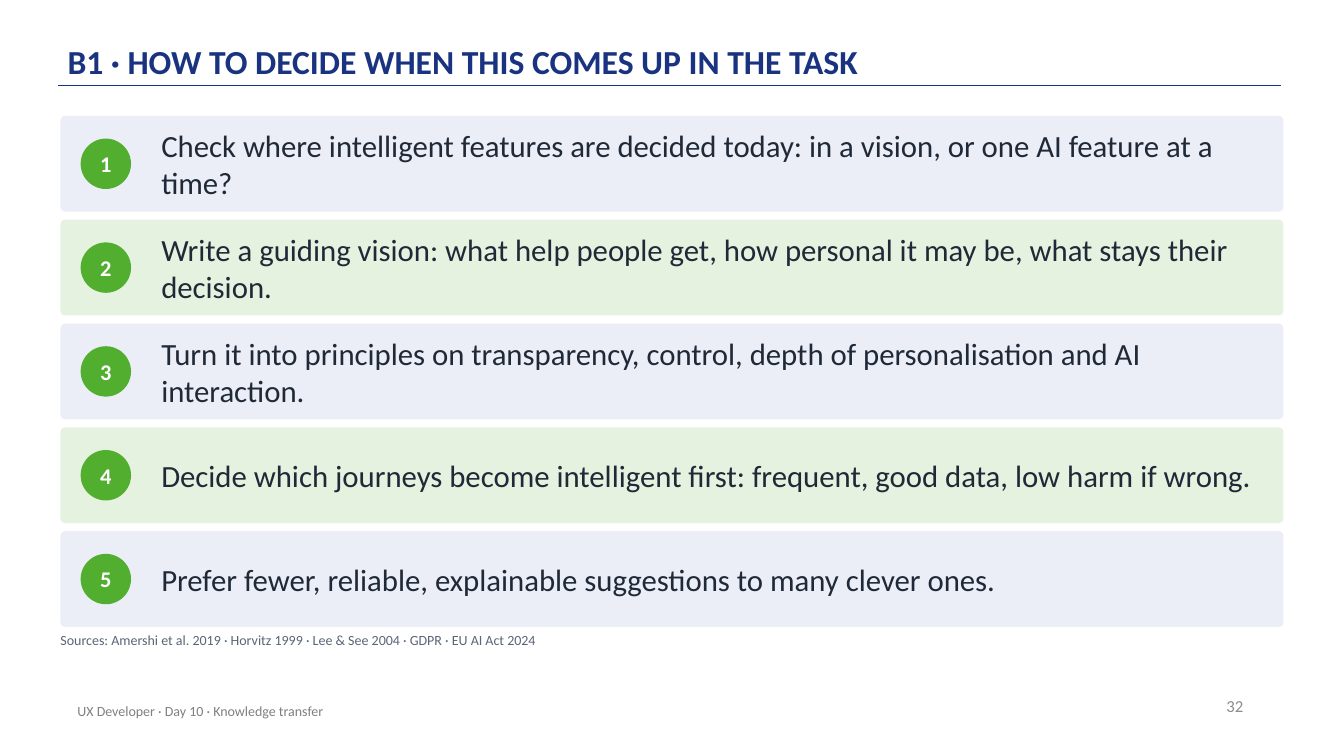
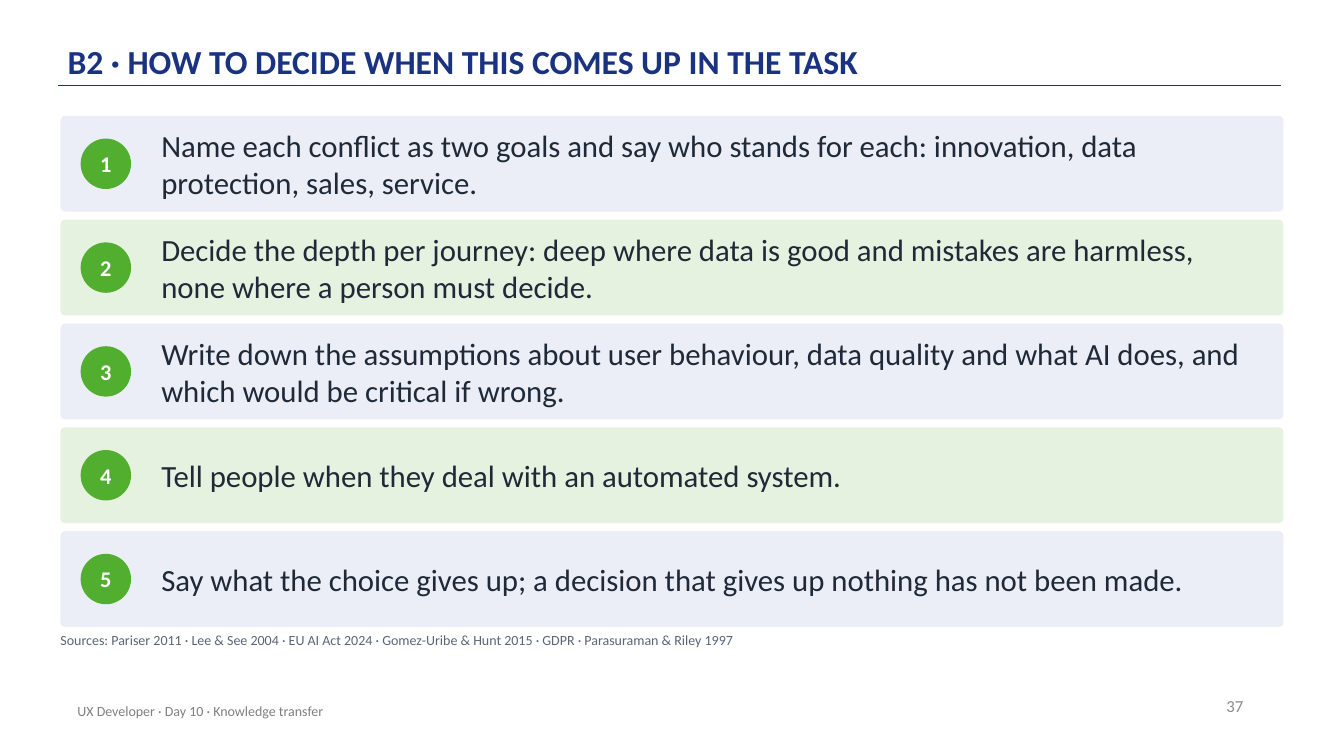
from lxml import etree
from pptx import Presentation
from pptx.dml.color import RGBColor
from pptx.enum.shapes import MSO_CONNECTOR, MSO_SHAPE
from pptx.enum.text import MSO_ANCHOR, PP_ALIGN
from pptx.oxml.ns import qn
from pptx.util import Inches, Pt

NAVY = RGBColor(0x1A, 0x33, 0x81)
GREEN = RGBColor(0x51, 0xAE, 0x2F)
PALE_BLUE = RGBColor(0xEC, 0xEE, 0xF7)
PALE_GREEN = RGBColor(0xE5, 0xF2, 0xDF)
INK = RGBColor(0x1F, 0x29, 0x37)
SLATE = RGBColor(0x5B, 0x65, 0x77)
GREY = RGBColor(0x80, 0x80, 0x80)
LIGHT_GREY = RGBColor(0x8C, 0x8C, 0x8C)
WHITE = RGBColor(0xFF, 0xFF, 0xFF)

FONT = "Calibri"
FOOTER = "UX Developer · Day 10 · Knowledge transfer"
NO_INSET = (0, 0, 0, 0)
FOOTER_INSET = (0.1, 0.05, 0.1, 0.05)

ROW_LEFT, ROW_TOP = 0.6, 1.15
ROW_WIDTH, ROW_HEIGHT, ROW_GAP = 12.13, 0.95, 0.08
BADGE_SIZE = 0.5

SLIDES = [
    {
        "title": "B1 · HOW TO DECIDE WHEN THIS COMES UP IN THE TASK",
        "number": 32,
        "steps": [
            "Check where intelligent features are decided today: in a vision, or one AI feature at a time?",
            "Write a guiding vision: what help people get, how personal it may be, what stays their decision.",
            "Turn it into principles on transparency, control, depth of personalisation and AI interaction.",
            "Decide which journeys become intelligent first: frequent, good data, low harm if wrong.",
            "Prefer fewer, reliable, explainable suggestions to many clever ones.",
        ],
        "sources": "Sources: Amershi et al. 2019 · Horvitz 1999 · Lee & See 2004 · GDPR · EU AI Act 2024",
    },
    {
        "title": "B2 · HOW TO DECIDE WHEN THIS COMES UP IN THE TASK",
        "number": 37,
        "steps": [
            "Name each conflict as two goals and say who stands for each: innovation, data protection, sales, service.",
            "Decide the depth per journey: deep where data is good and mistakes are harmless, none where a person must decide.",
            "Write down the assumptions about user behaviour, data quality and what AI does, and which would be critical if wrong.",
            "Tell people when they deal with an automated system.",
            "Say what the choice gives up; a decision that gives up nothing has not been made.",
        ],
        "sources": "Sources: Pariser 2011 · Lee & See 2004 · EU AI Act 2024 · Gomez-Uribe & Hunt 2015 · GDPR · Parasuraman & Riley 1997",
    },
]


def write(sp, text, size, color, bold=False, align=PP_ALIGN.LEFT,
          anchor=MSO_ANCHOR.MIDDLE, inset=NO_INSET, line_spacing=None):
    tf = sp.text_frame
    tf.word_wrap = True
    tf.vertical_anchor = anchor
    tf.margin_left, tf.margin_top, tf.margin_right, tf.margin_bottom = map(Inches, inset)
    p = tf.paragraphs[0]
    p.alignment = align
    p.line_spacing = line_spacing
    r = p.add_run()
    r.text = text
    r.font.name = FONT
    r.font.size = Pt(size)
    r.font.bold = bold
    r.font.color.rgb = color


def add_text(s, text, left, top, width, height, **style):
    sp = s.shapes.add_textbox(*map(Inches, (left, top, width, height)))
    write(sp, text, **style)


def add_filled(s, kind, left, top, width, height, fill):
    sp = s.shapes.add_shape(kind, *map(Inches, (left, top, width, height)))
    sp.shadow.inherit = False
    sp.fill.solid()
    sp.fill.fore_color.rgb = fill
    sp.line.fill.background()
    return sp


def add_rule(s, left, right, y):
    line = s.shapes.add_connector(MSO_CONNECTOR.STRAIGHT, *map(Inches, (left, y, right, y)))
    line.line.color.rgb = NAVY
    line.line.width = Pt(1)
    etree.SubElement(line._element.spPr, qn("a:effectLst"))


def add_frame(s, title, number):
    add_rule(s, 0.58, 12.71, 0.85)
    add_text(s, title, 0.67, 0.12, 11, 0.72, size=24, color=NAVY, bold=True,
             anchor=MSO_ANCHOR.BOTTOM, inset=(0, 0.03, 0, 0.03), line_spacing=0.9)
    add_text(s, str(number), 9.43, 6.8, 3, 0.4, size=12, color=LIGHT_GREY,
             align=PP_ALIGN.RIGHT, inset=FOOTER_INSET)
    add_text(s, FOOTER, 0.67, 6.85, 6.7, 0.4, size=10, color=GREY, inset=FOOTER_INSET)


def add_step(s, index, text):
    top = ROW_TOP + index * (ROW_HEIGHT + ROW_GAP)
    fill = PALE_GREEN if index % 2 else PALE_BLUE
    row = add_filled(s, MSO_SHAPE.ROUNDED_RECTANGLE, ROW_LEFT, top, ROW_WIDTH, ROW_HEIGHT, fill)
    row.adjustments[0] = 0.05
    badge = add_filled(s, MSO_SHAPE.OVAL, ROW_LEFT + 0.2, top + (ROW_HEIGHT - BADGE_SIZE) / 2,
                       BADGE_SIZE, BADGE_SIZE, GREEN)
    write(badge, str(index + 1), size=16, color=WHITE, bold=True, align=PP_ALIGN.CENTER)
    add_text(s, text, ROW_LEFT + 1, top, ROW_WIDTH - 1.2, ROW_HEIGHT, size=22, color=INK)


def add_decision_slide(prs, title, number, steps, sources):
    s = prs.slides.add_slide(prs.slide_layouts[6])
    add_frame(s, title, number)
    for index, text in enumerate(steps):
        add_step(s, index, text)
    add_text(s, sources, ROW_LEFT, 6.27, 12.1, 0.3, size=10, color=SLATE, anchor=MSO_ANCHOR.TOP)


def main():
    prs = Presentation()
    prs.slide_width = Inches(13.33)
    prs.slide_height = Inches(7.5)
    for content in SLIDES:
        add_decision_slide(prs, **content)
    prs.save("out.pptx")


if __name__ == "__main__":
    main()
